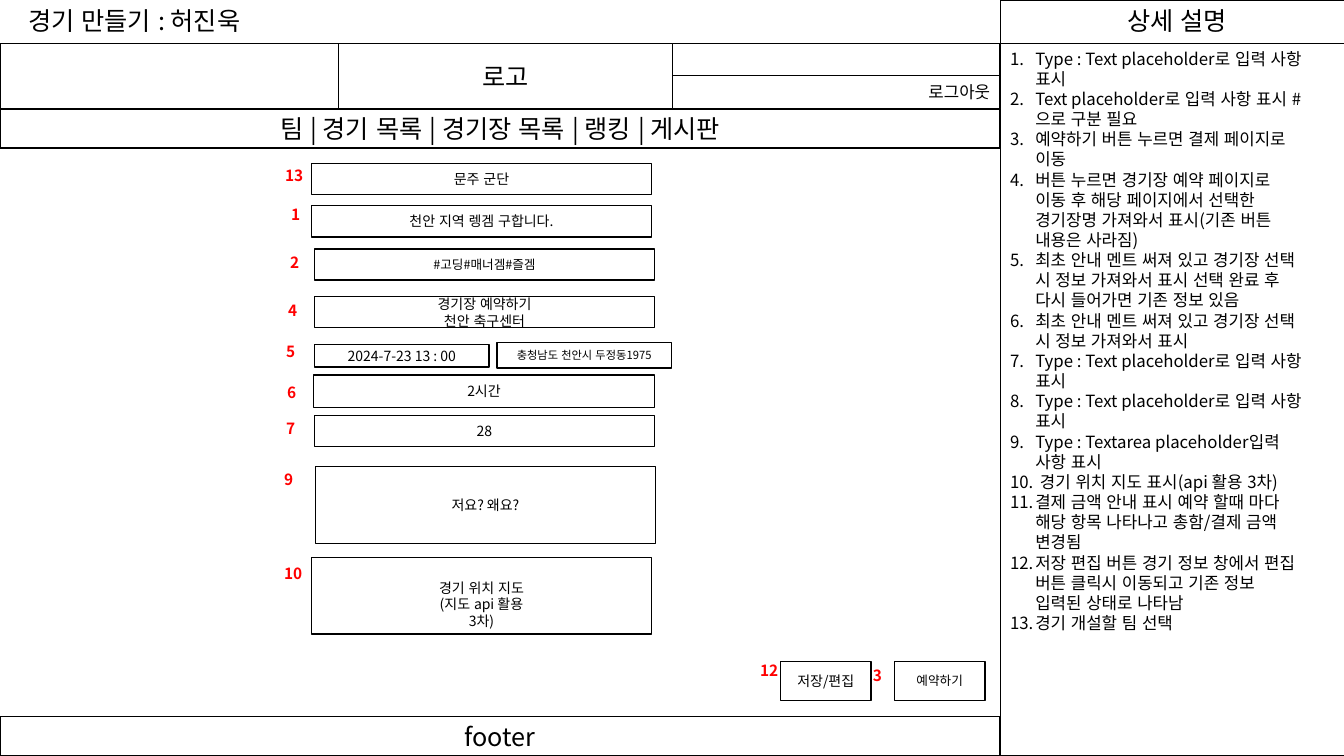
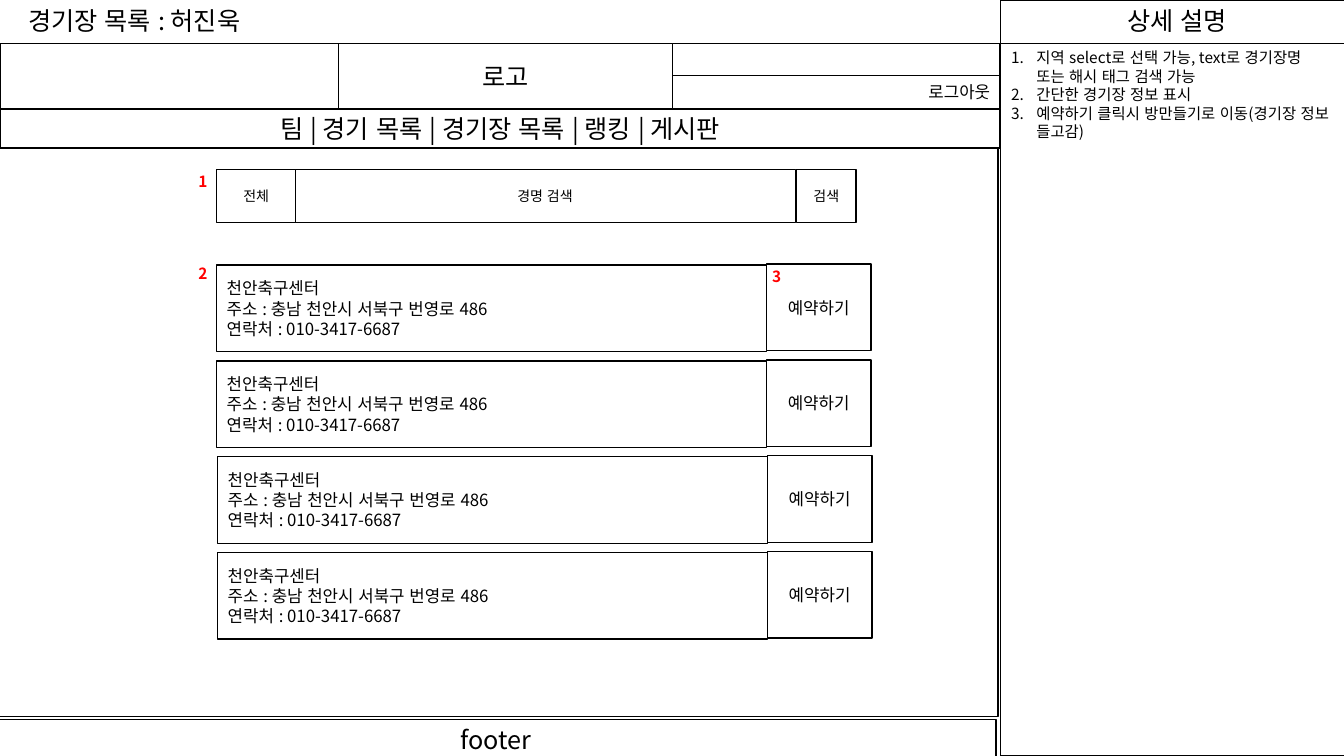
import pptx
import pptx.util
import pptx.dml.color
import pptx.enum.lang
import pptx.enum.shapes
import pptx.enum.text
import pptx.oxml.ns
from dataclasses import dataclass
from lxml import etree

PX = 9144  # one px is a hundredth of an inch
ALIGN = pptx.enum.text.PP_ALIGN
ANCHOR = pptx.enum.text.MSO_ANCHOR


@dataclass(frozen=True)
class Theme:
    font: str = "Noto Sans CJK KR"
    paper: str = "FFFFFF"
    ink: str = "000000"
    accent: str = "FF0000"
    line: int = 1
    title: int = 18
    body: int = 12
    marker: int = 11
    field: int = 10
    small: int = 9
    tiny: int = 8


THEME = Theme()


def rgb(code):
    return pptx.dml.color.RGBColor.from_string(code)


def child(parent, tag, **attributes):
    return etree.SubElement(parent, pptx.oxml.ns.qn(tag), attributes)


class Wireframe:
    """Holds the style and the slide being drawn."""

    def __init__(self, theme):
        self.theme = theme
        self.deck = pptx.Presentation()
        self.deck.slide_width = 1333 * PX
        self.deck.slide_height = 750 * PX
        self.slide = None

    def set_text(self, frame, text, size, color=None, bold=False, align=ALIGN.LEFT):
        frame.text = text
        frame.word_wrap = True
        for paragraph in frame.paragraphs:
            paragraph.alignment = align
            for run in paragraph.runs:
                font = run.font
                font.size = pptx.util.Pt(size)
                font.bold = bold
                font.name = self.theme.font
                font.color.rgb = rgb(color or self.theme.ink)
                font.language_id = pptx.enum.lang.MSO_LANGUAGE_ID.KOREAN
                child(run._r.get_or_add_rPr(), "a:ea", typeface=self.theme.font)

    def box(self, left, top, width, height, text="", size=THEME.field,
            align=ALIGN.CENTER):
        shape = self.slide.shapes.add_shape(
            pptx.enum.shapes.MSO_SHAPE.RECTANGLE,
            left * PX, top * PX, width * PX, height * PX)
        shape.shadow.inherit = False
        shape.fill.solid()
        shape.fill.fore_color.rgb = rgb(self.theme.paper)
        shape.line.color.rgb = rgb(self.theme.ink)
        shape.line.width = pptx.util.Pt(self.theme.line)
        if text:
            self.set_text(shape.text_frame, text, size, align=align)
            shape.text_frame.vertical_anchor = ANCHOR.MIDDLE
        return shape

    def label(self, left, top, width, height, text, size, **style):
        frame = self.slide.shapes.add_textbox(
            left * PX, top * PX, width * PX, height * PX).text_frame
        self.set_text(frame, text, size, **style)
        frame.auto_size = pptx.enum.text.MSO_AUTO_SIZE.SHAPE_TO_FIT_TEXT
        return frame

    def marker(self, left, top, number):
        self.label(left, top, 40, 29, str(number), self.theme.marker,
                   color=self.theme.accent, bold=True)

    def notes(self, left, width, height, lines, size):
        frame = self.label(left, 43, width, height, "\n".join(lines), size)
        for paragraph in frame.paragraphs:
            properties = paragraph._p.get_or_add_pPr()
            properties.set("marL", str(25 * PX))
            properties.set("indent", str(-25 * PX))
            child(properties, "a:buFont", typeface="+mj-lt")
            child(properties, "a:buAutoNum", type="arabicPeriod")

    def page(self, title, footer_left=0, footer_top=711, framed=False):
        self.slide = self.deck.slides.add_slide(self.deck.slide_layouts[6])
        big = self.theme.title
        # Description panel
        self.box(992, 43, 342, 707)
        self.box(992, 0, 342, 43)
        self.label(1108, 0, 130, 40, "상세 설명", big).word_wrap = False
        # Site header, menu and footer
        if framed:
            self.box(-2, 147, 992, 564)
        self.box(0, 43, 992, 104)
        self.box(336, 43, 331, 65, "로고", big)
        self.box(0, 108, 992, 39, "팀 | 경기 목록 | 경기장 목록 | 랭킹 | 게시판", big)
        self.box(667, 75, 325, 33, "로그아웃", self.theme.body, ALIGN.RIGHT)
        self.box(footer_left, footer_top, 992, 39, "footer", big)
        self.label(18, 0, 465, 40, title, big)


def create_match(wire):
    theme = wire.theme
    wire.page("경기 만들기 : 허진욱")

    # Form fields
    for left, top, width, height, text, size in [
        (309, 162, 337, 31, "문주 군단", theme.field),
        (309, 204, 337, 31, "천안 지역 렝겜 구합니다.", theme.field),
        (312, 247, 337, 31, "#고딩#매너겜#즐겜", theme.small),
        (312, 294, 337, 31, "경기장 예약하기\n천안 축구센터", theme.field),
        (312, 342, 173, 22, "2024-7-23 13 : 00", theme.field),
        (493, 340, 173, 25, "충청남도 천안시 두정동1975", theme.tiny),
        (311, 372, 338, 32, "2시간", theme.field),
        (312, 412, 337, 31, "28", theme.field),
        (313, 463, 337, 76, "저요? 왜요?", theme.field),
        (774, 656, 90, 39, "저장/편집", theme.field),
        (887, 656, 90, 39, "예약하기", theme.small),
    ]:
        wire.box(left, top, width, height, text, size)
    location = wire.box(309, 553, 337, 76, "경기 위치 지도\n(지도 api 활용\n3차)")
    location.text_frame.margin_top = 22 * PX

    # Markers that refer to the numbered notes
    for left, top, number in [
        (273, 160, 13), (279, 199, 1), (278, 246, 2), (276, 294, 4),
        (274, 334, 5), (275, 375, 6), (274, 411, 7), (272, 461, 9),
        (272, 555, 10), (744, 651, 12), (856, 656, 3),
    ]:
        wire.marker(left, top, number)

    placeholder = "Type : Text placeholder로 입력 사항 표시"
    wire.notes(992, 313, 636, [
        placeholder,
        "Text placeholder로 입력 사항 표시 #으로 구분 필요",
        "예약하기 버튼 누르면 결제 페이지로 이동",
        "버튼 누르면 경기장 예약 페이지로 이동 후 해당 페이지에서 선택한 "
        "경기장명 가져와서 표시(기존 버튼 내용은 사라짐)",
        "최초 안내 멘트 써져 있고 경기장 선택 시 정보 가져와서 표시 "
        "선택 완료 후 다시 들어가면 기존 정보 있음",
        "최초 안내 멘트 써져 있고 경기장 선택 시 정보 가져와서 표시",
        placeholder,
        placeholder,
        "Type : Textarea placeholder입력 사항 표시",
        " 경기 위치 지도 표시(api 활용 3차)",
        "결제 금액 안내 표시 예약 할때 마다 해당 항목 나타나고 "
        "총함/결제 금액 변경됨",
        "저장 편집 버튼 경기 정보 창에서 편집 버튼 클릭시 이동되고 "
        "기존 정보 입력된 상태로 나타남",
        "경기 개설할 팀 선택",
    ], theme.body)


def stadium_list(wire):
    theme = wire.theme
    wire.page("경기장 목록 : 허진욱", footer_left=-4, footer_top=714, framed=True)

    # Search bar
    for left, width, text in [
        (292, 497, "경명 검색"), (215, 78, "전체"), (790, 59, "검색"),
    ]:
        wire.box(left, 168, width, 53, text)

    # Stadium rows; the lower two sit one px further right
    stadium = "천안축구센터\n주소 : 충남 천안시 서북구 번영로 486\n연락처 : 010-3417-6687"
    for row in range(4):
        left, top = 215 + row // 2, 263 + 95 * row
        wire.box(left, top, 545, 86, stadium, theme.body, ALIGN.LEFT)
        wire.box(left + 545, top - 1, 104, 86, "예약하기", theme.body)

    # Markers and notes
    for left, top, number in [(187, 166, 1), (187, 257, 2), (756, 260, 3)]:
        wire.marker(left, top, number)
    wire.notes(993, 338, 103, [
        "지역 select로 선택 가능, text로 경기장명 또는 해시 태그 검색 가능",
        "간단한 경기장 정보 표시",
        "예약하기 클릭시 방만들기로 이동(경기장 정보 들고감)",
    ], theme.marker)


def main():
    wire = Wireframe(THEME)
    create_match(wire)
    stadium_list(wire)
    wire.deck.save("out.pptx")


if __name__ == "__main__":
    main()
